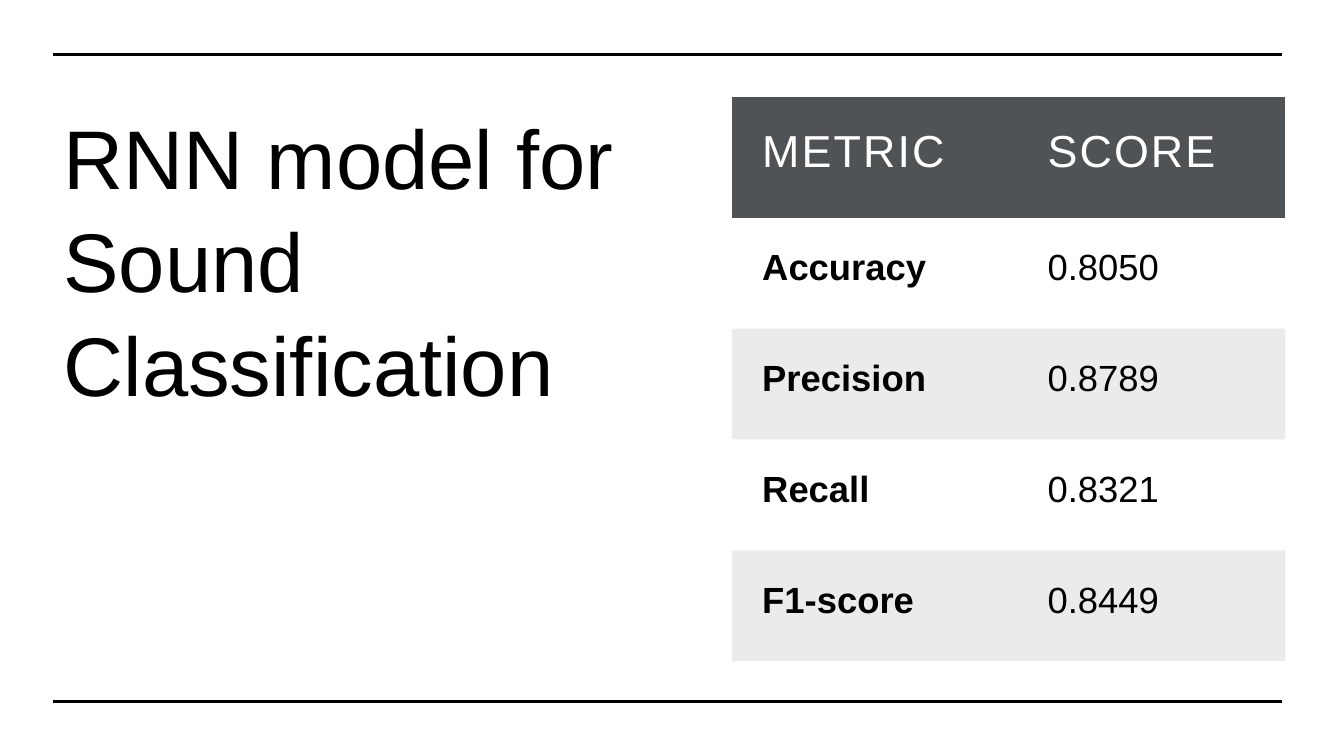
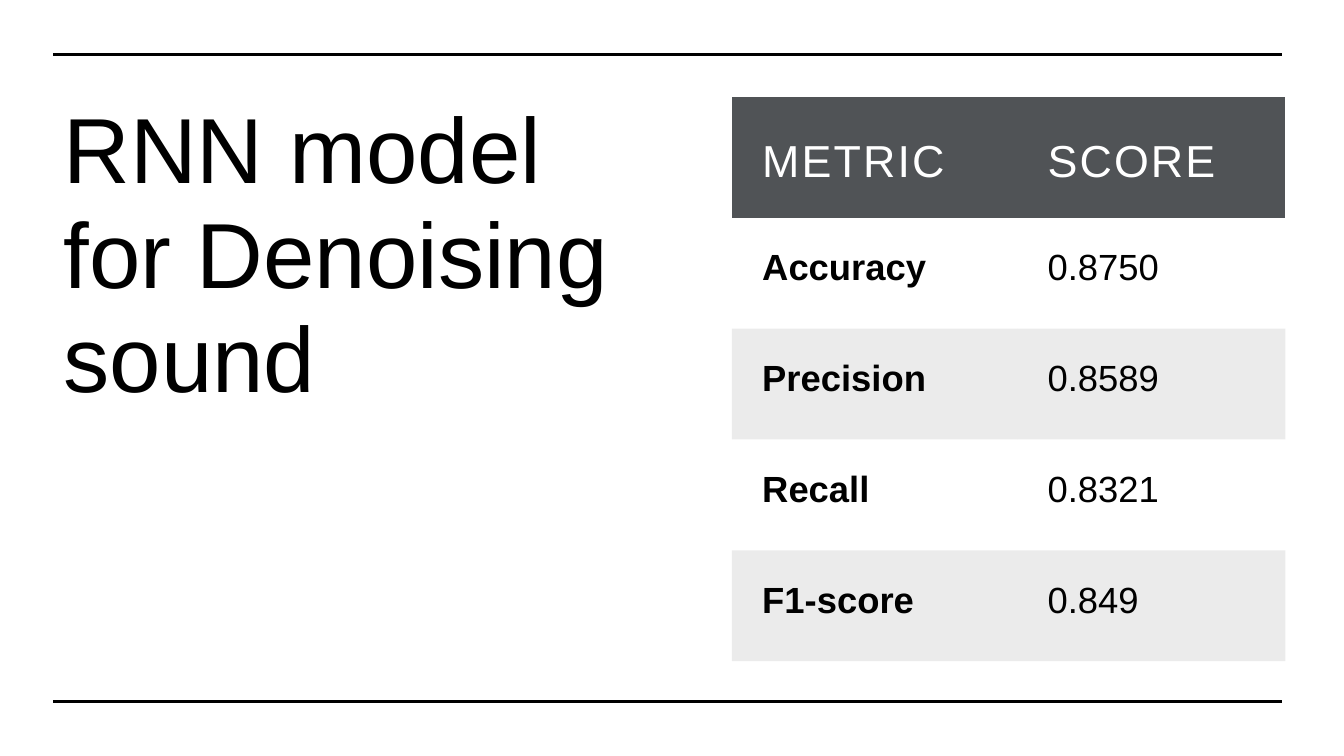
from dataclasses import dataclass

from lxml import etree
from pptx import Presentation
from pptx.dml.color import RGBColor
from pptx.enum.shapes import MSO_CONNECTOR
from pptx.enum.text import MSO_ANCHOR, MSO_AUTO_SIZE, PP_ALIGN
from pptx.oxml.ns import qn
from pptx.slide import Slide
from pptx.table import _Cell
from pptx.util import Inches, Pt

STRAIGHT = MSO_CONNECTOR.STRAIGHT
TOP, BOTTOM = MSO_ANCHOR.TOP, MSO_ANCHOR.BOTTOM
NO_AUTOFIT = MSO_AUTO_SIZE.NONE
LEFT = PP_ALIGN.LEFT

FONT = "Arial"
COLORS = {"ink": "000000", "paper": "FFFFFF", "header": "505356"}
BAND_ALPHA = 8
PLAIN_TABLE_STYLE = "{2D5ABB26-0587-4C30-8999-92F81FD0307C}"
TITLE_ONLY_LAYOUT = 5

RULE_LEFT, RULE_RIGHT = 0.53, 12.72
RULE_TOPS = (0.54, 6.96)
COLUMN_WIDTHS = (2.83, 2.66)
HEADER_HEIGHT, ROW_HEIGHT = 1.2, 1.1
CELL_MARGIN = 0.3
HEADINGS = ("METRIC", "SCORE")
METRICS = ("Accuracy", "Precision", "Recall", "F1-score")


@dataclass(frozen=True)
class ModelPage:
    title: str
    title_size: float
    line_spacing: float
    header_anchor: MSO_ANCHOR
    scores: tuple[str, ...]


@dataclass(frozen=True)
class CellStyle:
    size: float
    color: str
    bold: bool = False
    tracking: float = 0
    anchor: MSO_ANCHOR = TOP


PAGES = (
    ModelPage("RNN model for Sound Classification", 59.4, 1.04, TOP,
              ("0.8050", "0.8789", "0.8321", "0.8449")),
    ModelPage("RNN model for Denoising sound", 66, 0.94, BOTTOM,
              ("0.8750", "0.8589", "0.8321", "0.849")),
)


def rgb(name: str) -> RGBColor:
    return RGBColor.from_string(COLORS[name])


def add_title(page: Slide, model: ModelPage) -> None:
    box = page.shapes.title
    box.left, box.top = Inches(0.53), Inches(0.77)
    box.width, box.height = Inches(6.14), Inches(3.38)
    frame = box.text_frame
    frame.text = model.title
    frame.word_wrap = True
    frame.auto_size = NO_AUTOFIT
    frame.vertical_anchor = BOTTOM
    para = frame.paragraphs[0]
    para.alignment = LEFT
    para.line_spacing = model.line_spacing
    para.font.name = FONT
    para.font.size = Pt(model.title_size)
    para.font.color.rgb = rgb("ink")


def add_rule(page: Slide, top: float) -> None:
    rule = page.shapes.add_connector(
        STRAIGHT, Inches(RULE_LEFT), Inches(top), Inches(RULE_RIGHT), Inches(top))
    rule.line.color.rgb = rgb("ink")
    rule.line.width = Pt(2.25)
    etree.SubElement(rule._element.spPr, qn("a:effectLst"))


def write_cell(cell: _Cell, text: str, style: CellStyle) -> None:
    cell.margin_left = cell.margin_right = Inches(CELL_MARGIN)
    cell.margin_top = cell.margin_bottom = Inches(CELL_MARGIN)
    cell.vertical_anchor = style.anchor
    para = cell.text_frame.paragraphs[0]
    span = para.add_run()
    span.text = text
    para.font.name = FONT
    para.font.size = Pt(style.size)
    para.font.bold = style.bold
    para.font.color.rgb = rgb(style.color)
    if style.tracking:
        span.font._element.set("spc", str(round(style.tracking * 100)))


def fill_band(cell: _Cell) -> None:
    cell.fill.solid()
    cell.fill.fore_color.rgb = rgb("ink")
    color = cell._tc.tcPr.find(f".//{qn('a:srgbClr')}")
    etree.SubElement(color, qn("a:alpha")).set("val", str(BAND_ALPHA * 1000))


def add_score_table(page: Slide, model: ModelPage) -> None:
    height = HEADER_HEIGHT + ROW_HEIGHT * len(METRICS)
    table = page.shapes.add_table(
        len(METRICS) + 1, len(HEADINGS), Inches(7.26), Inches(0.96),
        Inches(sum(COLUMN_WIDTHS)), Inches(height)).table
    table._tbl.tblPr.find(qn("a:tableStyleId")).text = PLAIN_TABLE_STYLE
    table.horz_banding = False
    for column, width in zip(table.columns, COLUMN_WIDTHS):
        column.width = Inches(width)
    for index, row in enumerate(table.rows):
        row.height = Inches(ROW_HEIGHT if index else HEADER_HEIGHT)

    # Header row
    header = CellStyle(32, "paper", tracking=1.5, anchor=model.header_anchor)
    for column, heading in enumerate(HEADINGS):
        cell = table.cell(0, column)
        write_cell(cell, heading, header)
        cell.fill.solid()
        cell.fill.fore_color.rgb = rgb("header")

    # Metric rows, every second one shaded
    for row, values in enumerate(zip(METRICS, model.scores), start=1):
        for column, value in enumerate(values):
            cell = table.cell(row, column)
            write_cell(cell, value, CellStyle(26, "ink", bold=column == 0))
            if row % 2 == 0:
                fill_band(cell)
            else:
                cell.fill.background()


def main() -> None:
    deck = Presentation()
    deck.slide_width, deck.slide_height = Inches(13.33), Inches(7.5)
    background = deck.slide_master.background.fill
    background.solid()
    background.fore_color.rgb = rgb("paper")
    for model in PAGES:
        page = deck.slides.add_slide(deck.slide_layouts[TITLE_ONLY_LAYOUT])
        add_title(page, model)
        for top in RULE_TOPS:
            add_rule(page, top)
        add_score_table(page, model)
    deck.save("out.pptx")


if __name__ == "__main__":
    main()
